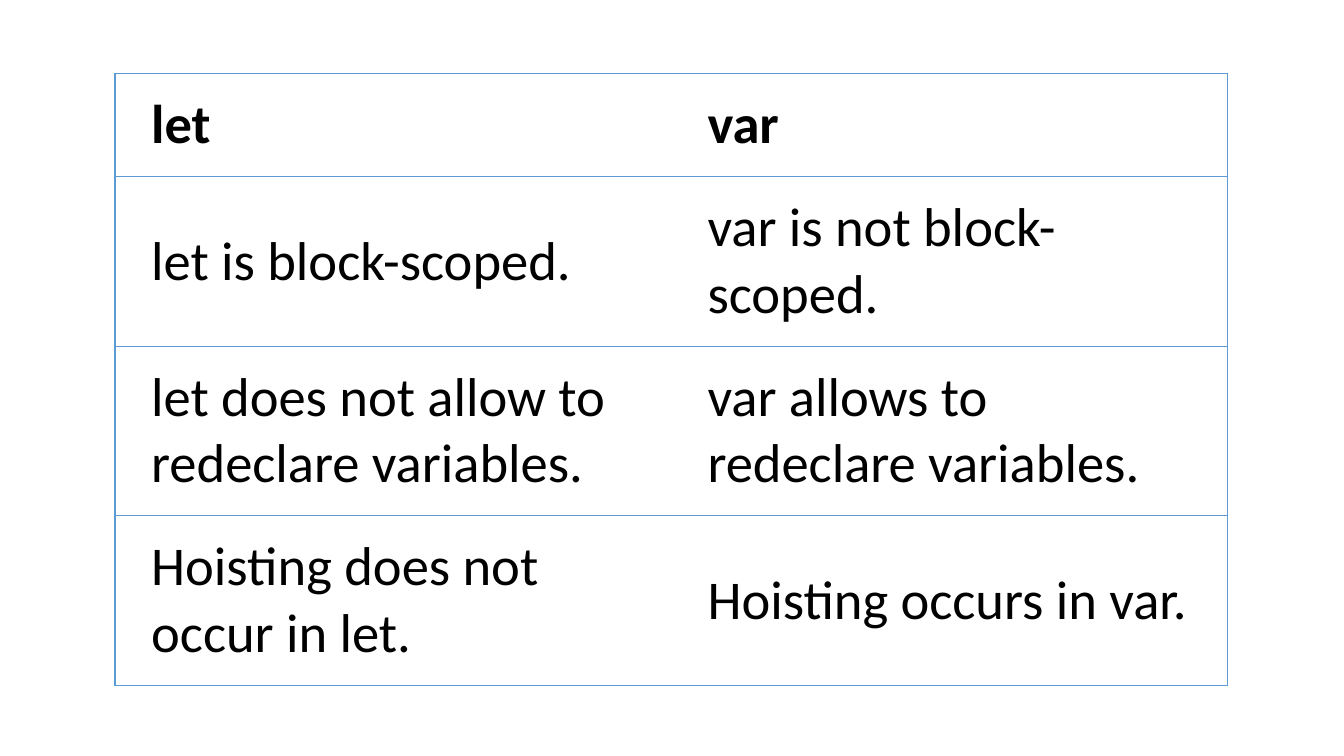
from lxml.etree import SubElement
from pptx import Presentation
from pptx.dml.color import RGBColor
from pptx.enum.text import MSO_ANCHOR
from pptx.oxml.ns import qn
from pptx.util import Cm, Pt

# Content
HEADINGS = ("let", "var")
COMPARISONS = [
    ("let is block-scoped.", "var is not block-scoped."),
    ("let does not allow to redeclare variables.", "var allows to redeclare variables."),
    ("Hoisting does not occur in let.", "Hoisting occurs in var."),
]

# Style and layout
FONT = "Calibri"
TEXT_SIZE = Pt(39)
BLACK = RGBColor(0x00, 0x00, 0x00)
WHITE = RGBColor(0xFF, 0xFF, 0xFF)
RULE_BLUE = RGBColor(0x5B, 0x9B, 0xD5)
RULE_WIDTH = Pt(1)
LEFT, TOP = Cm(2.9), Cm(1.85)
COLUMN_WIDTH = Cm(14.02)
HEADING_HEIGHT, COMPARISON_HEIGHT = Cm(2.6), Cm(4.25)
SIDE_MARGIN, EDGE_MARGIN = Cm(0.91), Cm(0.46)


def set_borders(cell, ruled_sides):
    """Rule the given sides of a cell and clear the others."""
    properties = cell._tc.get_or_add_tcPr()
    for position, side in enumerate("LRTB"):
        line = SubElement(properties, qn(f"a:ln{side}"), w=str(RULE_WIDTH))
        if side in ruled_sides:
            fill = SubElement(line, qn("a:solidFill"))
            SubElement(fill, qn("a:srgbClr"), val=str(RULE_BLUE))
        else:
            SubElement(line, qn("a:noFill"))
        properties.insert(position, line)


def fill_cell(cell, wording, bold):
    cell.fill.solid()
    cell.fill.fore_color.rgb = WHITE
    cell.vertical_anchor = MSO_ANCHOR.MIDDLE
    cell.margin_left = cell.margin_right = SIDE_MARGIN
    cell.margin_top = cell.margin_bottom = EDGE_MARGIN
    cell.text_frame.text = wording
    font = cell.text_frame.paragraphs[0].runs[0].font
    font.name, font.size, font.bold = FONT, TEXT_SIZE, bold
    font.color.rgb = BLACK


prs = Presentation()
prs.slide_width, prs.slide_height = Cm(33.87), Cm(19.05)
slide = prs.slides.add_slide(prs.slide_layouts[6])

# Comparison table
rows = [HEADINGS, *COMPARISONS]
heights = [HEADING_HEIGHT] + [COMPARISON_HEIGHT] * len(COMPARISONS)
comparison = slide.shapes.add_table(
    len(rows), len(HEADINGS), LEFT, TOP, COLUMN_WIDTH * len(HEADINGS), sum(heights)
).table
comparison.first_row = comparison.horz_banding = False
for column in comparison.columns:
    column.width = COLUMN_WIDTH

for r, (wordings, height) in enumerate(zip(rows, heights)):
    comparison.rows[r].height = height
    for c, wording in enumerate(wordings):
        cell = comparison.cell(r, c)
        fill_cell(cell, wording, bold=r == 0)
        set_borders(cell, "LTB" if c == 0 else "RTB")

prs.save("out.pptx")
